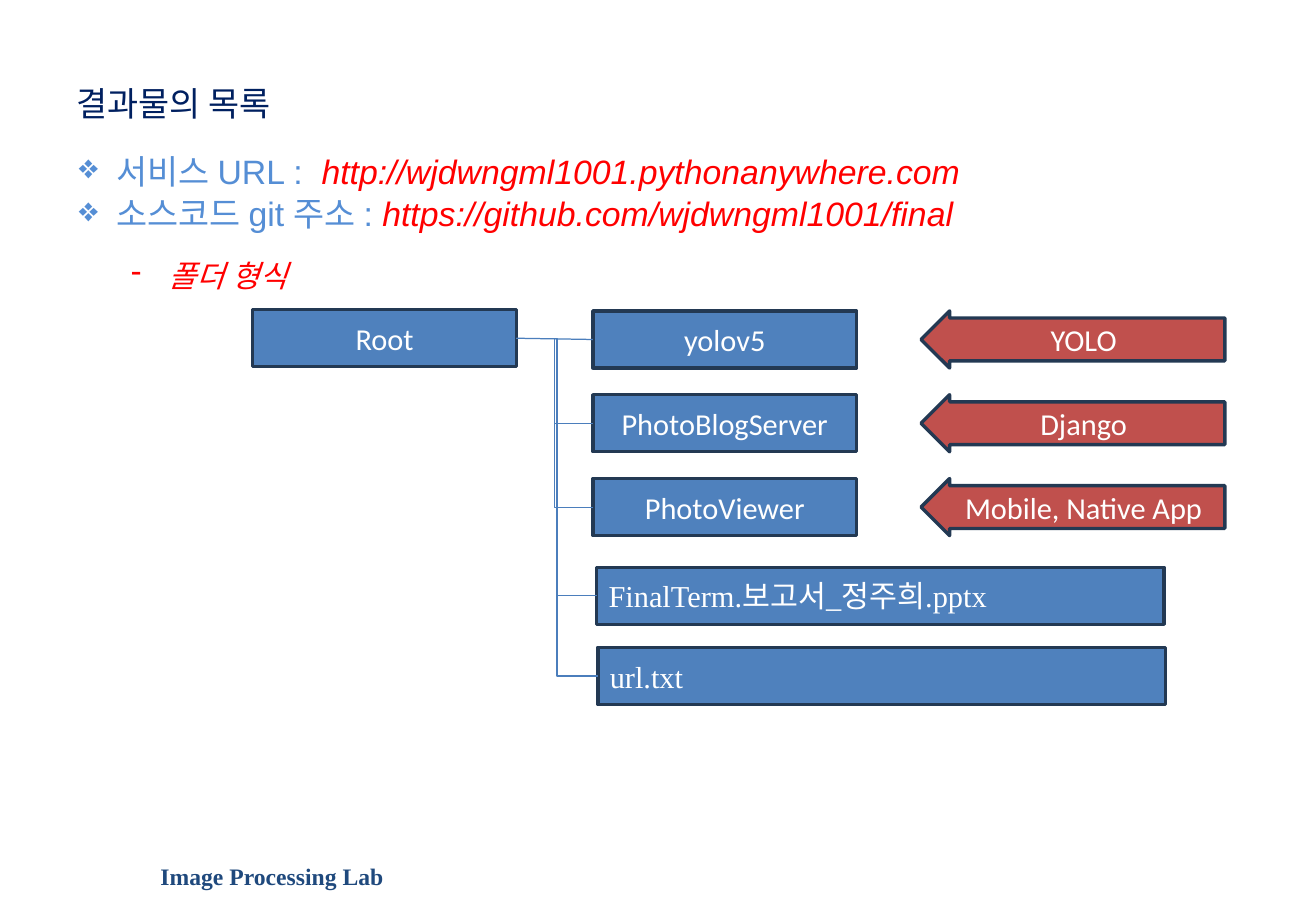
from dataclasses import dataclass

from lxml.etree import SubElement
from pptx import Presentation
from pptx.dml.color import RGBColor
from pptx.enum.shapes import MSO_CONNECTOR, MSO_SHAPE
from pptx.enum.text import MSO_ANCHOR, PP_ALIGN
from pptx.oxml.ns import qn
from pptx.util import Inches, Pt


@dataclass(frozen=True)
class Theme:
    """Colours, fonts and type sizes of the slide."""
    navy: str = "002060"
    footer: str = "1F497D"
    label: str = "558ED5"
    accent: str = "FF0000"
    box: str = "4F81BD"
    arrow: str = "C0504D"
    edge: str = "233953"
    link: str = "4B7EBC"
    white: str = "FFFFFF"
    sans: str = "Arial"
    serif: str = "Times New Roman"
    shape: str = "Calibri"
    large: int = 20
    medium: int = 18
    small: int = 14


T = Theme()
TITLE = "결과물의 목록"
FOOTER = "Image Processing Lab"
LINKS = [
    ("서비스 URL :  ", "http://wjdwngml1001.pythonanywhere.com"),
    ("소스코드 git 주소 : ", "https://github.com/wjdwngml1001/final"),
]
FOLDER_HEADING = "폴더 형식"
ROOT = "Root"
FOLDERS = [
    ("yolov5", "YOLO"),
    ("PhotoBlogServer", "Django"),
    ("PhotoViewer", "Mobile, Native App"),
]
FILES = [
    ("FinalTerm.보고서_정주희.pptx", 4.91, 4.67),
    ("url.txt", 4.92, 5.33),
]
BOX_W, BOX_H, FILE_W, ARROW_W = 2.17, 0.47, 4.67, 2.5
FOLDER_X, ARROW_X, FOLDER_Y, FOLDER_STEP = 4.88, 7.58, 2.56, 0.69


def rgb(value):
    """Turn a hex string into a colour."""
    return RGBColor.from_string(value)


def add_run(p, text, font, size, color, bold=False, italic=False):
    """Append a formatted run to a paragraph."""
    r = p.add_run()
    r.text = text
    r.font.name, r.font.size = font, Pt(size)
    r.font.bold, r.font.italic = bold, italic
    r.font.color.rgb = rgb(color)


def prepare(tf):
    """Give a text frame tight margins and return its first paragraph."""
    tf.word_wrap = True
    tf.vertical_anchor = MSO_ANCHOR.TOP
    tf.margin_left = tf.margin_right = tf.margin_bottom = 0
    tf.margin_top = Inches(0.01)
    p = tf.paragraphs[0]
    p.alignment = PP_ALIGN.LEFT
    return p


def add_text(s, x, y, w, h):
    """Add a text box and return its text frame."""
    tf = s.shapes.add_textbox(Inches(x), Inches(y), Inches(w), Inches(h)).text_frame
    prepare(tf)
    return tf


def set_bullet(p, char, margin):
    """Give a paragraph a bullet with a hanging indent."""
    pPr = p._p.get_or_add_pPr()
    pPr.set("marL", str(Inches(margin)))
    pPr.set("indent", str(Inches(-0.31)))
    SubElement(pPr, qn("a:buChar"), char=char)
    tabs = SubElement(pPr, qn("a:tabLst"))
    SubElement(tabs, qn("a:tab"), pos=str(Inches(margin)), algn="l")


def add_block(s, kind, x, y, w, text, fill, font=T.shape, align=PP_ALIGN.CENTER):
    """Add an outlined, filled shape with a label."""
    sp = s.shapes.add_shape(kind, Inches(x), Inches(y), Inches(w), Inches(BOX_H))
    sp.shadow.inherit = False
    sp.fill.solid()
    sp.fill.fore_color.rgb = rgb(fill)
    sp.line.color.rgb = rgb(T.edge)
    sp.line.width = Pt(2)
    sp.text_frame.vertical_anchor = MSO_ANCHOR.MIDDLE
    p = sp.text_frame.paragraphs[0]
    p.alignment = align
    add_run(p, text, font, T.medium, T.white)
    return sp


def add_link(s, kind, parent, child):
    """Join the right side of the parent to the left side of the child."""
    c = s.shapes.add_connector(kind, 0, 0, 0, 0)
    c.begin_connect(parent, 3)
    c.end_connect(child, 1)
    c.line.color.rgb = rgb(T.link)
    c.line.width = Pt(0.75)
    SubElement(c._element.spPr, qn("a:effectLst"))


def add_intro(s):
    """Add the bulleted addresses and the folder heading."""
    tf = add_text(s, 0.63, 1.23, 8.84, 1.19)
    for i, (label, url) in enumerate(LINKS):
        p = tf.add_paragraph() if i else tf.paragraphs[0]
        p.space_before = Pt(1 if i else 0)
        set_bullet(p, "❖", 0.33)
        add_run(p, label, T.sans, T.large, T.label)
        add_run(p, url, T.sans, T.large, T.accent, italic=True)
    p = tf.add_paragraph()
    p.level = 1
    p.space_before = Pt(14.4)
    set_bullet(p, "-", 0.76)
    add_run(p, FOLDER_HEADING, T.sans, T.medium, T.accent, italic=True)


def add_tree(s):
    """Add the folder tree with its technology arrows."""
    root = add_block(s, MSO_SHAPE.RECTANGLE, 2.08, 2.55, BOX_W, ROOT, T.box)
    for i, (folder, tech) in enumerate(FOLDERS):
        y = FOLDER_Y + i * FOLDER_STEP
        box = add_block(s, MSO_SHAPE.RECTANGLE, FOLDER_X, y, BOX_W, folder, T.box)
        add_link(s, MSO_CONNECTOR.ELBOW if i else MSO_CONNECTOR.STRAIGHT, root, box)
        arrow = add_block(s, MSO_SHAPE.LEFT_ARROW, ARROW_X, y, ARROW_W, tech, T.arrow)
        arrow.adjustments[0] = 0.75
    for name, x, y in FILES:
        box = add_block(s, MSO_SHAPE.RECTANGLE, x, y, FILE_W, name, T.box,
                        T.serif, PP_ALIGN.LEFT)
        add_link(s, MSO_CONNECTOR.ELBOW, root, box)


def main():
    """Build and save the slide."""
    prs = Presentation()
    prs.slide_width, prs.slide_height = Inches(10.83), Inches(7.5)
    s = prs.slides.add_slide(prs.slide_layouts[5])
    title = s.shapes.title
    title.left, title.top = Inches(0.63), Inches(0.67)
    title.width, title.height = Inches(2.87), Inches(0.35)
    add_run(prepare(title.text_frame), TITLE, T.serif, T.large, T.navy)
    footer = add_text(s, 1.32, 7.09, 1.87, 0.26)
    add_run(footer.paragraphs[0], FOOTER, T.serif, T.small, T.footer, bold=True)
    add_intro(s)
    add_tree(s)
    prs.save("out.pptx")


if __name__ == "__main__":
    main()
